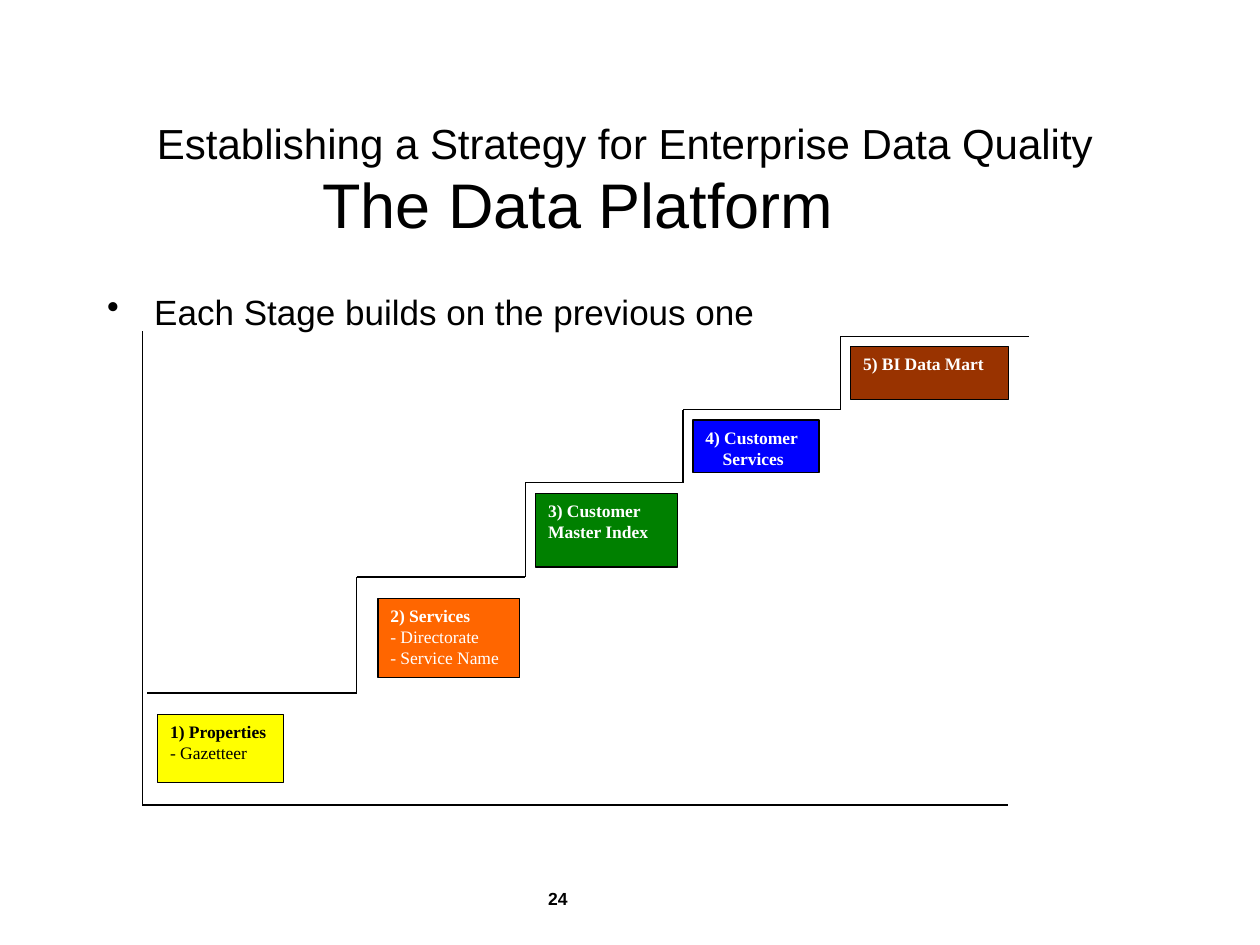
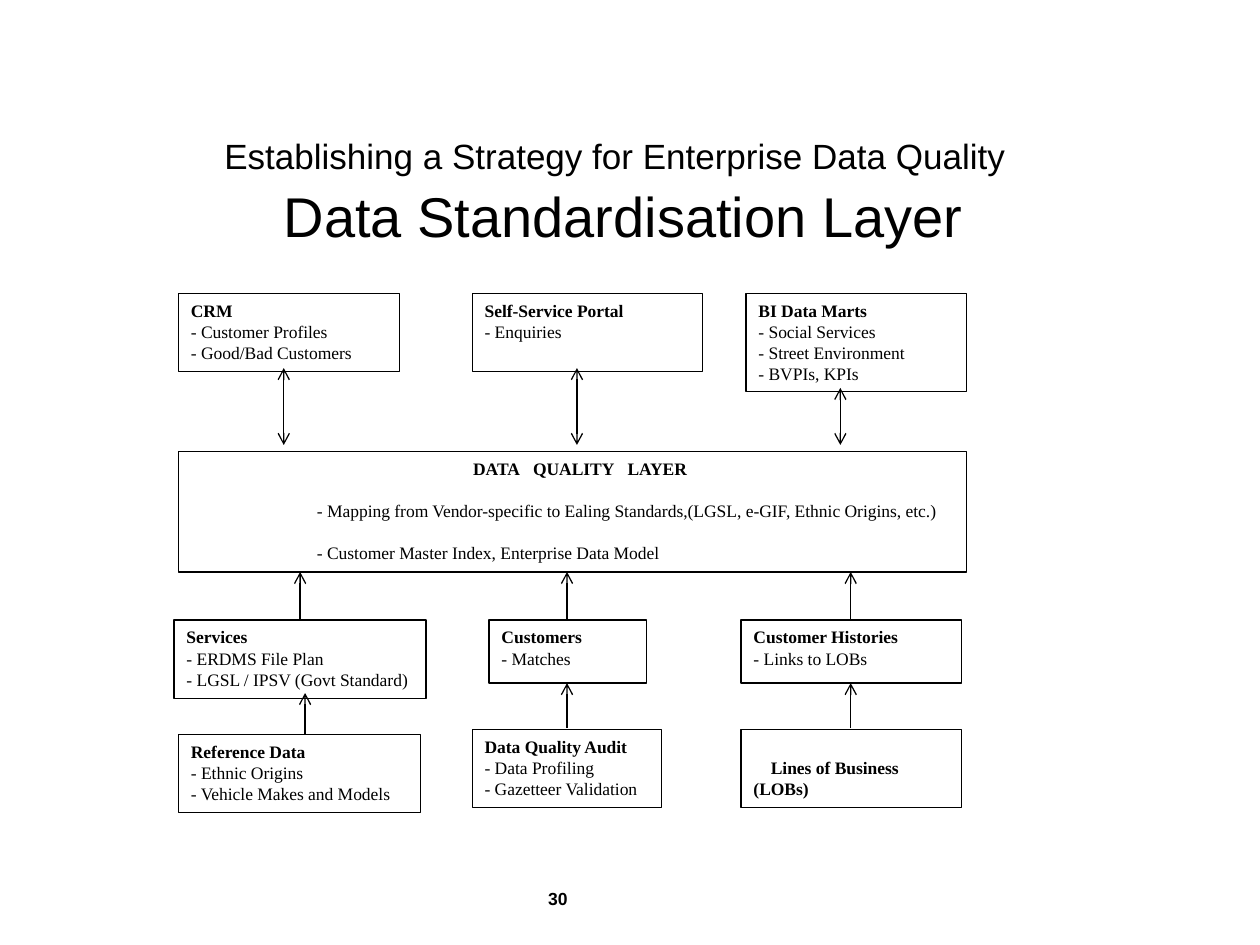
"""Build two slides on enterprise data quality: the staged platform and the standardisation layer."""
from dataclasses import dataclass
from itertools import pairwise

from lxml import etree
from pptx import Presentation
from pptx import util as u
from pptx.dml.color import RGBColor
from pptx.enum import shapes, text
from pptx.oxml.ns import qn


@dataclass(frozen=True)
class Theme:
    black: str = "000000"
    white: str = "FFFFFF"
    yellow: str = "FFFF00"
    orange: str = "FF6600"
    green: str = "008000"
    blue: str = "0000FF"
    brown: str = "993300"
    sans: str = "Arial"
    serif: str = "Times New Roman"
    body: int = 20
    small: int = 10
    line: float = 0.75


THEME = Theme()
HEADING = "Establishing a Strategy for Enterprise Data Quality"


def write(paragraph, content, *, font=THEME.sans, size=THEME.small, color=THEME.black,
          bold=False, align=None, left=0, first=0, before=0, word_gap=0):
    paragraph.alignment = align
    paragraph.space_before = u.Pt(before)
    properties = paragraph._p.get_or_add_pPr()
    properties.set("marL", str(u.Cm(left)))
    properties.set("indent", str(u.Cm(first)))
    pieces = content.replace(" ", "\n \n").split("\n") if word_gap else [content]
    for piece in pieces:
        run = paragraph.add_run()
        run.text = piece
        run.font.name = font
        run.font.size = u.Pt(size)
        run.font.bold = bold
        run.font.color.rgb = RGBColor.from_string(color)
        if piece == " ":
            run.font._element.set("spc", str(word_gap * 100))


class Deck:
    def __init__(self, theme):
        self.theme = theme
        self.presentation = Presentation()
        self.presentation.slide_width = u.Cm(25.4)
        self.presentation.slide_height = u.Cm(19.05)
        self.slide = None

    def add_slide(self, number):
        self.slide = self.presentation.slides.add_slide(self.presentation.slide_layouts[6])
        self.label(str(number), (10.8, 17.78, 1.47, 0.69), bold=True)

    def frame(self, shape, top=0.13):
        frame = shape.text_frame
        frame.word_wrap = True
        frame.margin_left = frame.margin_right = u.Cm(0.25)
        frame.margin_top, frame.margin_bottom = u.Cm(top), u.Cm(0.13)
        frame.vertical_anchor = text.MSO_ANCHOR.TOP
        return frame

    def label(self, content, place, **style):
        shape = self.slide.shapes.add_textbox(*map(u.Cm, place))
        frame = self.frame(shape)
        write(frame.paragraphs[0], content, **style)
        return frame

    def title(self, content, size, center_x, center_y):
        width, height = 21.4, size * 0.045
        place = (center_x - width / 2, center_y - height / 2, width, height)
        frame = self.label(content, place, size=size, align=text.PP_ALIGN.CENTER)
        frame.margin_top = frame.margin_bottom = 0
        frame.vertical_anchor = text.MSO_ANCHOR.MIDDLE

    def bullet(self, content, place):
        frame = self.label(content, place, size=self.theme.body, left=0.95, first=-0.95, before=5)
        mark = etree.SubElement(frame.paragraphs[0]._p.get_or_add_pPr(), qn("a:buChar"))
        mark.set("char", "•")

    def box(self, place, lines, fill=THEME.white, color=THEME.black, top=0.13, formats=None):
        shape = self.slide.shapes.add_shape(shapes.MSO_SHAPE.RECTANGLE, *map(u.Cm, place))
        shape.shadow.inherit = False
        shape.fill.solid()
        shape.fill.fore_color.rgb = RGBColor.from_string(fill)
        shape.line.color.rgb = RGBColor.from_string(self.theme.black)
        shape.line.width = u.Pt(self.theme.line)
        frame = self.frame(shape, top)
        for index, line in enumerate(lines):
            paragraph = frame.add_paragraph() if index else frame.paragraphs[0]
            write(paragraph, line, font=self.theme.serif, color=color,
                  bold=not line.startswith("- "), align=text.PP_ALIGN.LEFT,
                  **(formats or {}).get(index, {}))

    def line(self, start, end, *arrow_ends):
        connector = self.slide.shapes.add_connector(
            shapes.MSO_CONNECTOR.STRAIGHT, *map(u.Cm, start + end))
        connector.line.color.rgb = RGBColor.from_string(self.theme.black)
        connector.line.width = u.Pt(self.theme.line)
        for name in arrow_ends:
            etree.SubElement(connector.line._get_or_add_ln(), qn(f"a:{name}")).set("type", "arrow")
        etree.SubElement(connector._element.spPr, qn("a:effectLst"))

    def trace(self, points):
        for start, end in pairwise(points):
            self.line(start, end)


def build_platform(deck):
    theme = deck.theme
    deck.add_slide(24)
    deck.title(HEADING, 24, 12.6, 2.87)
    deck.title("The Data Platform", 36, 11.65, 4.09)
    deck.bullet("Each Stage builds on the previous one", (1.91, 5.72, 21.16, 11.4))

    deck.trace([(2.87, 6.68), (2.87, 16.23), (20.32, 16.23)])
    risers = [2.97, 7.19, 10.59, 13.77, 16.94, 20.75]
    treads = [13.97, 11.63, 9.73, 8.26, 6.78]
    deck.trace([(x, y) for edges, y in zip(pairwise(risers), treads) for x in edges])

    deck.box((3.18, 14.4, 2.54, 1.37), ["1) Properties", "- Gazetteer"], theme.yellow)
    deck.box((7.62, 12.07, 2.86, 1.59),
             ["2) Services", "- Directorate", "- Service Name"], theme.orange, theme.white)
    deck.box((10.8, 9.95, 2.86, 1.48), ["3) Customer", "Master Index"], theme.green, theme.white)
    deck.box((13.97, 8.47, 2.54, 1.06), ["4) Customer", "Services"], theme.blue, theme.white,
             formats={1: {"left": 0.35}})
    deck.box((17.15, 6.99, 3.18, 1.06), ["5) BI Data Mart"], theme.brown, theme.white)


def build_standardisation(deck):
    deck.add_slide(30)
    deck.title(HEADING, 20, 12.4, 3.14)
    deck.title("Data Standardisation Layer", 32, 12.57, 4.34)

    consumers, sources, inputs = 5.92, 12.5, 14.71
    deck.box((3.6, consumers, 4.45, 1.57), ["CRM", "- Customer Profiles", "- Good/Bad Customers"])
    deck.box((9.52, consumers, 4.65, 1.57), ["Self-Service Portal", "- Enquiries"])
    deck.box((15.04, consumers, 4.45, 1.98),
             ["BI Data Marts", "- Social Services", "- Street Environment", "- BVPIs, KPIs"])

    detail = {"left": 2.54, "before": 12}
    deck.box((3.6, 9.1, 15.88, 2.43),
             ["DATA QUALITY LAYER",
              "- Mapping from Vendor-specific to Ealing Standards,(LGSL, e-GIF, Ethnic Origins, etc.)",
              "- Customer Master Index, Enterprise Data Model"],
             formats={0: {"left": 5.69, "word_gap": 5}, 1: detail, 2: detail})

    deck.box((3.51, sources, 5.08, 1.59),
             ["Services", "- ERDMS File Plan", "- LGSL / IPSV (Govt Standard)"])
    deck.box((9.86, sources, 3.18, 1.27), ["Customers", "- Matches"])
    deck.box((14.94, sources, 4.45, 1.27), ["Customer Histories", "- Links to LOBs"])

    deck.box((3.6, 14.81, 4.88, 1.57),
             ["Reference Data", "- Ethnic Origins", "- Vehicle Makes and Models"])
    deck.box((9.52, inputs, 3.81, 1.57),
             ["Data Quality Audit", "- Data Profiling", "- Gazetteer Validation"])
    deck.box((14.94, inputs, 4.45, 1.57), ["Lines of Business (LOBs)"], top=0.55,
             formats={0: {"first": 0.35}})

    for x, top in [(5.72, 7.42), (11.63, 7.42), (16.94, 7.82)]:
        deck.line((x, 8.97), (x, top), "headEnd", "tailEnd")
    for x in (6.05, 11.43, 17.15):
        deck.line((x, 12.47), (x, 11.53), "tailEnd")
    for x, bottom, top in [(6.15, 14.81, 13.97), (11.43, 14.68, 13.77), (17.15, 14.68, 13.77)]:
        deck.line((x, bottom), (x, top), "tailEnd")


def main():
    deck = Deck(THEME)
    build_platform(deck)
    build_standardisation(deck)
    deck.presentation.save("out.pptx")


if __name__ == "__main__":
    main()
